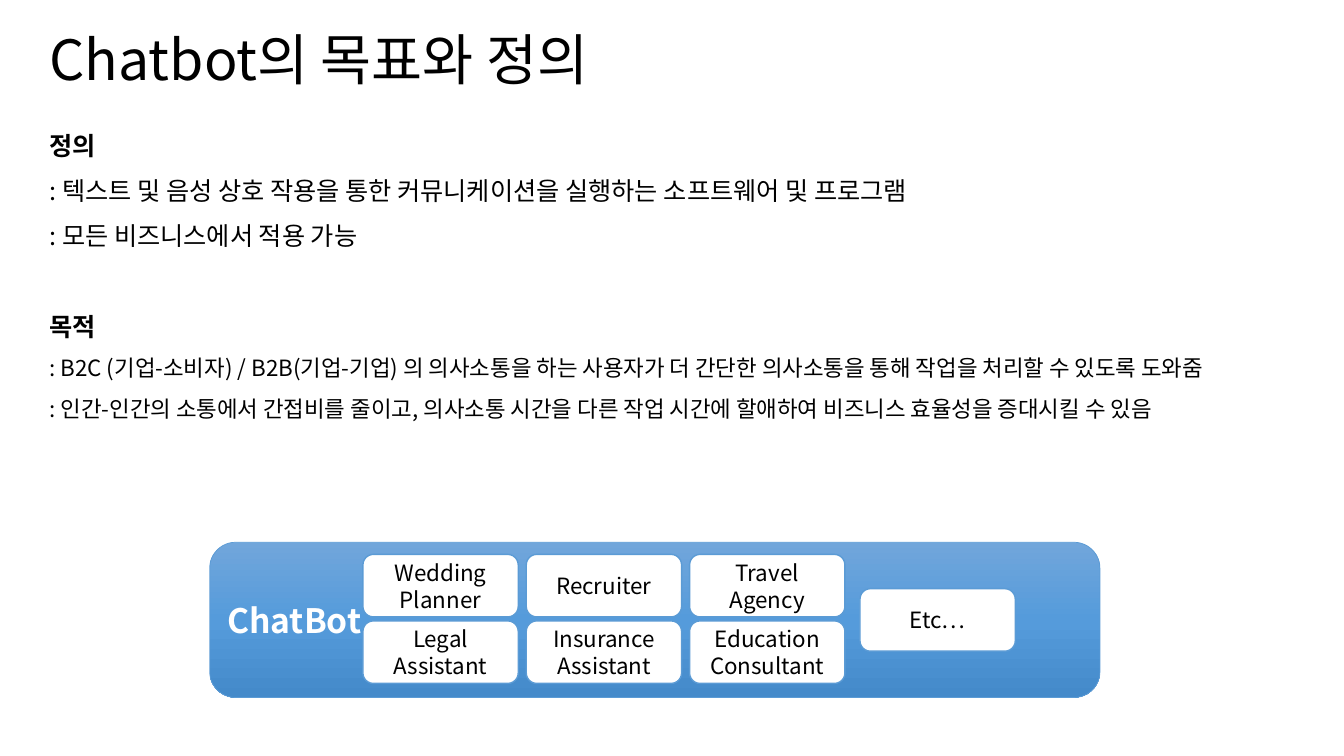
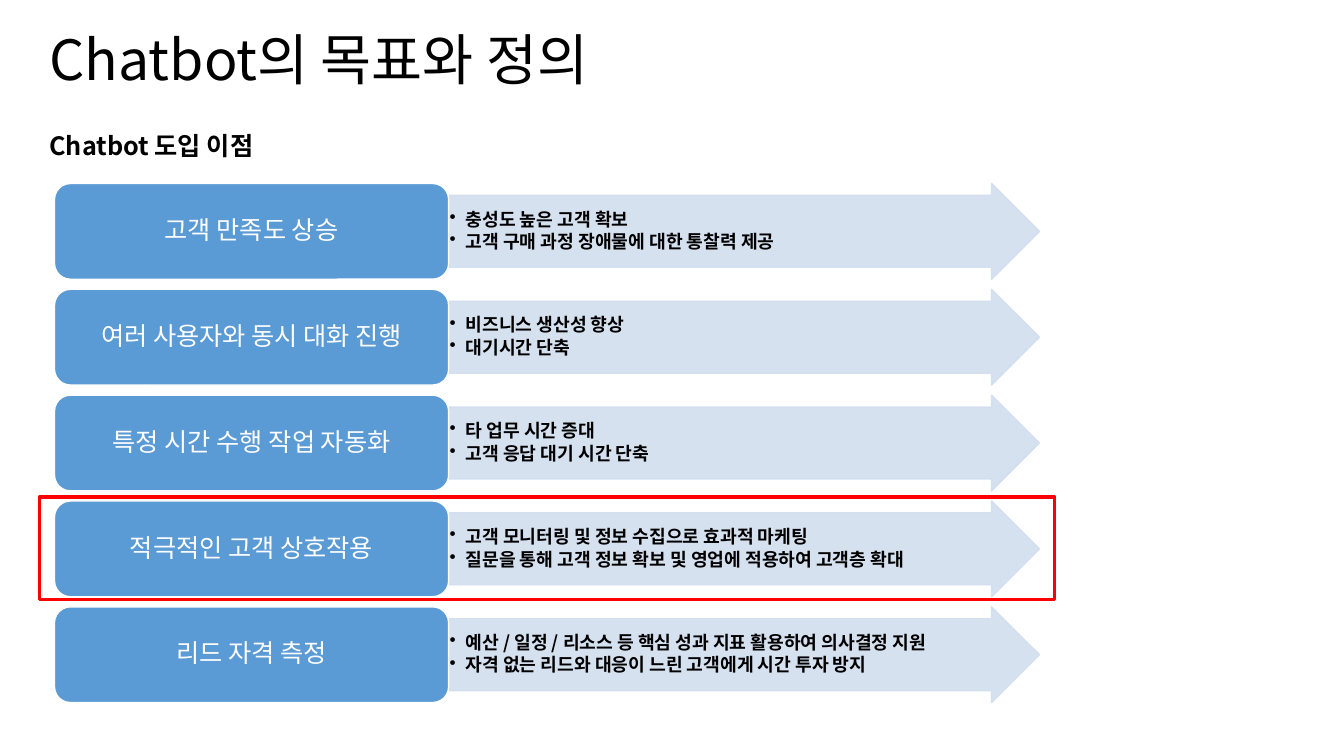
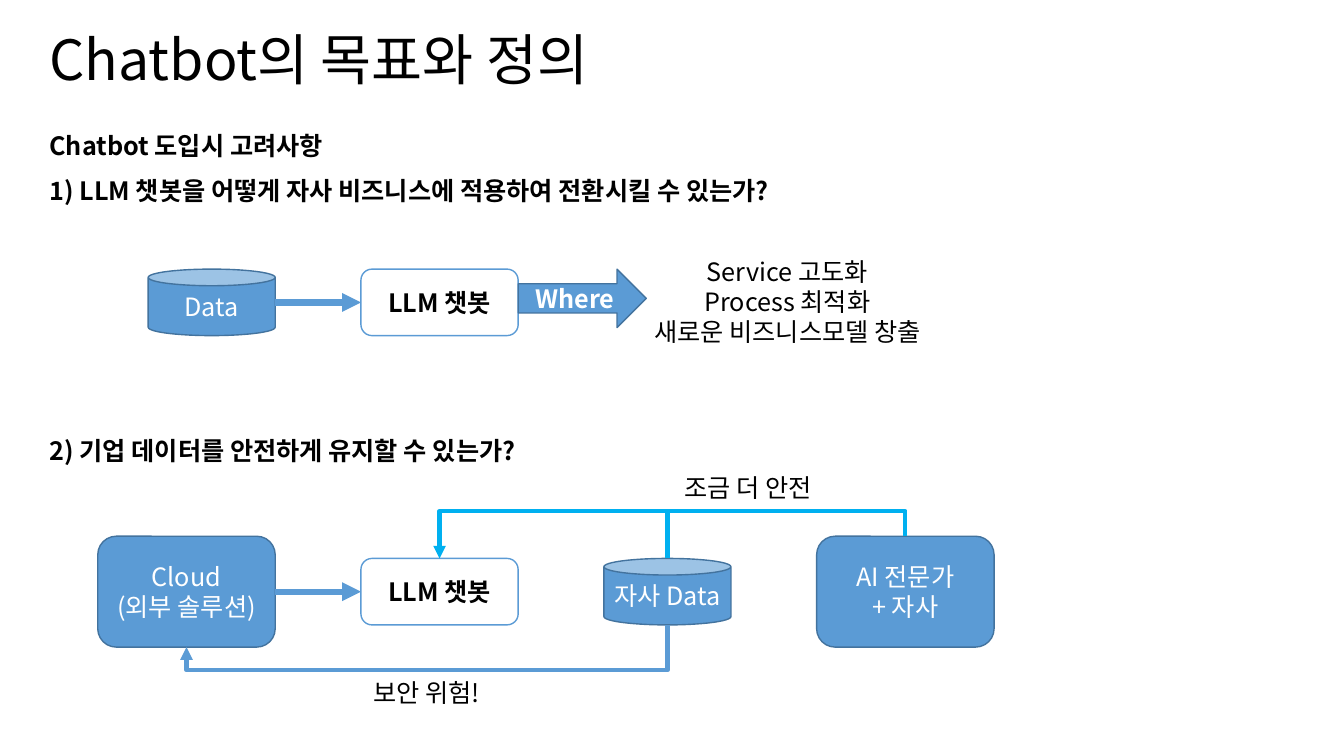
from copy import deepcopy
from dataclasses import dataclass

from pptx import Presentation
from pptx import util as u
from pptx.dml.color import RGBColor
from pptx.enum import shapes, text
from pptx.oxml import ns, xmlchemy

PX = 9144  # EMU per px, 100 px to the inch
SHAPE = shapes.MSO_SHAPE
ALIGN = text.PP_ALIGN
ANCHOR = text.MSO_ANCHOR


@dataclass(frozen=True)
class Theme:
    font: str = "Noto Sans CJK KR"
    ink: str = "000000"
    paper: str = "FFFFFF"
    blue: str = "5B9BD5"
    edge: str = "43739E"
    pale: str = "D2DEEF"
    sky: str = "00B0F0"
    alert: str = "FF0000"
    gradient: tuple = ((0, "71A6DB"), (0.5, "559BDB"), (1, "448ACA"))
    title: float = 39.6
    label: int = 24
    text: int = 18
    small: int = 16
    bullet: int = 13


T = Theme()
TITLE = "Chatbot의 목표와 정의"


def px(*values):
    return [round(v * PX) for v in values]


def rgb(value):
    return RGBColor.from_string(value)


def assign(target, values):
    for name, value in values.items():
        setattr(target, name, value)


def child(parent, tag, **attrs):
    el = xmlchemy.OxmlElement(tag)
    for name, value in attrs.items():
        el.set(name, str(value))
    parent.append(el)
    return el


class Deck:
    def __init__(self):
        self.prs = Presentation()
        self.prs.slide_width, self.prs.slide_height = px(1333, 750)

    # Slide, title and body
    def page(self, title, layout=1):
        self.slide = self.prs.slides.add_slide(self.prs.slide_layouts[layout])
        self.bodies = iter(list(self.slide.placeholders)[1:])
        sp = self.slide.shapes.title
        self.place(sp, 39, 28, 1113, 69)
        self.put_text(sp, [title], T.title, para={"line_spacing": 0.9},
                      frame={"vertical_anchor": ANCHOR.MIDDLE})

    def body(self, box, lines):
        sp = next(self.bodies)
        self.place(sp, *box)
        self.put_text(sp, lines, T.text, para={"line_spacing": 1.5},
                      frame={"vertical_anchor": ANCHOR.TOP})
        for p in sp.text_frame.paragraphs:
            self.bullet(p, 0)

    def place(self, sp, *box):
        assign(sp, dict(zip(("left", "top", "width", "height"), px(*box))))

    # Text; a line is a string or (string, font values, paragraph values)
    def put_text(self, sp, lines, size, color=T.ink, bold=False, align=ALIGN.LEFT,
                 para=None, frame=None):
        tf = sp.text_frame
        assign(tf, {"word_wrap": True, "auto_size": text.MSO_AUTO_SIZE.NONE,
                    **(frame or {})})
        for i, line in enumerate(lines):
            words, font, own = (line, {}, {}) if isinstance(line, str) else line
            p = tf.add_paragraph() if i else tf.paragraphs[0]
            assign(p, {"alignment": align, "space_before": u.Pt(0),
                       **(para or {}), **own})
            r = p.add_run()
            r.text = words
            assign(r.font, {"size": u.Pt(size), "bold": bold, "name": T.font, **font})
            r.font.color.rgb = rgb(color)
            child(r.font._element, "a:ea", typeface=T.font)

    def bullet(self, p, indent, char=None):
        pPr = p._p.get_or_add_pPr()
        pPr.set("marL", str(indent * PX))
        pPr.set("indent", str(-indent * PX))
        if char:
            child(pPr, "a:buChar", char=char)
        else:
            child(pPr, "a:buNone")

    def note(self, box, lines):
        sp = self.slide.shapes.add_textbox(*px(*box))
        self.put_text(sp, lines, T.text, align=ALIGN.CENTER)

    # Shapes
    def shape(self, kind, box, lines=(), fill=T.blue, line=T.edge, width=1,
              size=T.text, color=T.paper, bold=False, align=ALIGN.CENTER, **kw):
        sp = self.slide.shapes.add_shape(kind, *px(*box))
        sp.shadow.inherit = False
        if fill:
            sp.fill.solid()
            sp.fill.fore_color.rgb = rgb(fill)
        else:
            sp.fill.background()
        sp.line.color.rgb = rgb(line)
        sp.line.width = u.Pt(width)
        if lines:
            kw["frame"] = {"vertical_anchor": ANCHOR.MIDDLE, **kw.get("frame", {})}
            self.put_text(sp, lines, size, color, bold, align, **kw)
        return sp

    def card(self, box, words, size=T.text, bold=False):
        return self.shape(SHAPE.ROUNDED_RECTANGLE, box, [words], fill=T.paper,
                          line=T.blue, size=size, color=T.ink, bold=bold)

    def shade(self, sp, stops):
        sp.fill.gradient()
        sp.fill.gradient_angle = 270
        gs = sp._element.spPr.find(".//" + ns.qn("a:gs"))
        gs.addnext(deepcopy(gs))
        for stop, (position, color) in zip(sp.fill.gradient_stops, stops):
            stop.position = position
            stop.color.rgb = rgb(color)

    def fade(self, sp, percent):
        for el in list(sp._element.spPr.iter(ns.qn("a:srgbClr"))):
            child(el, "a:alpha", val=percent * 1000)

    # Lines
    def finish(self, c, color, width, arrow):
        c.line.color.rgb = rgb(color)
        c.line.width = u.Pt(width)
        spPr = c._element.spPr
        if arrow:
            child(spPr.find(ns.qn("a:ln")), "a:tailEnd", type="triangle")
        child(spPr, "a:effectLst")

    def straight(self, x1, y1, x2, y2, color, width, begin=None, end=None, arrow=True):
        c = self.slide.shapes.add_connector(shapes.MSO_CONNECTOR.STRAIGHT,
                                            *px(x1, y1, x2, y2))
        if begin:
            c.begin_connect(*begin)
        if end:
            c.end_connect(*end)
        self.finish(c, color, width, arrow)

    def elbow(self, begin, end, lane, color, above):
        """Leave both shapes vertically and cross at the height of the lane."""
        (x1, y1), (x2, y2) = [
            (sp.left + sp.width // 2, sp.top + (0 if above else sp.height))
            for sp, _ in (begin, end)]
        c = self.slide.shapes.add_connector(shapes.MSO_CONNECTOR.ELBOW, 0, 0, 0, 0)
        c.begin_connect(*begin)
        c.end_connect(*end)
        w, h = y2 - y1, x1 - x2
        xfrm = c._element.spPr.find(ns.qn("a:xfrm"))
        for name in ("flipH", "flipV"):
            xfrm.attrib.pop(name, None)
        turn = ({"rot": "16200000", "flipH": "1", "flipV": "1"} if above
                else {"rot": "5400000"})
        for name, value in turn.items():
            xfrm.set(name, value)
        assign(c, {"left": (x1 + x2 - w) // 2, "top": (y1 + y2 - h) // 2,
                   "width": w, "height": h})
        ratio = round((lane * PX - y1) / w * 100000)
        geom = c._element.spPr.find(ns.qn("a:prstGeom"))
        for old in list(geom):
            geom.remove(old)
        child(child(geom, "a:avLst"), "a:gd", name="adj1", fmla=f"val {ratio}")
        self.finish(c, color, 3, True)


# Definition and purpose
def definition(d):
    d.page(TITLE)
    head, small = {"bold": True}, {"size": u.Pt(T.small)}
    d.body((39, 109, 1238, 399), [
        ("정의", head, {}),
        ": 텍스트 및 음성 상호 작용을 통한 커뮤니케이션을 실행하는 소프트웨어 및 프로그램",
        ": 모든 비즈니스에서 적용 가능",
        ("목적", head, {"space_before": u.Pt(32)}),
        (": B2C (기업-소비자) / B2B(기업-기업) 의 의사소통을 하는 사용자가 "
         "더 간단한 의사소통을 통해 작업을 처리할 수 있도록 도와줌", small, {}),
        (": 인간-인간의 소통에서 간접비를 줄이고, 의사소통 시간을 다른 작업 시간에 "
         "할애하여 비즈니스 효율성을 증대시킬 수 있음", small, {}),
    ])
    panel = d.shape(SHAPE.ROUNDED_RECTANGLE, (208, 538, 883, 154), ["ChatBot"],
                    line=T.blue, width=0.5, size=T.label, bold=True, align=ALIGN.LEFT)
    d.shade(panel, T.gradient)
    roles = [("Wedding Planner", "Legal Assistant"),
             ("Recruiter", "Insurance Assistant"),
             ("Travel Agency", "Education Consultant")]
    for col, pair in enumerate(roles):
        for row, role in enumerate(pair):
            d.card((360 + 162 * col, 550 + 66 * row, 154, 62), role, T.small)
    d.card((853, 584, 154, 62), "Etc…", T.small)


# Benefits
def benefits(d):
    d.page(TITLE)
    d.body((39, 109, 1007, 51), [("Chatbot 도입 이점", {"bold": True}, {})])
    rows = [
        ("고객 만족도 상승",
         ["충성도 높은 고객 확보", "고객 구매 과정 장애물에 대한 통찰력 제공"]),
        ("여러 사용자와 동시 대화 진행", ["비즈니스 생산성 향상", "대기시간 단축"]),
        ("특정 시간 수행 작업 자동화", ["타 업무 시간 증대", "고객 응답 대기 시간 단축"]),
        ("적극적인 고객 상호작용",
         ["고객 모니터링 및 정보 수집으로 효과적 마케팅",
          "질문을 통해 고객 정보 확보 및 영업에 적용하여 고객층 확대"]),
        ("리드 자격 측정",
         ["예산 / 일정 / 리소스 등 핵심 성과 지표 활용하여 의사결정 지원",
          "자격 없는 리드와 대응이 느린 고객에게 시간 투자 방지"]),
    ]
    margins = dict.fromkeys(
        ("margin_left", "margin_right", "margin_top", "margin_bottom"), PX)
    for i, (benefit, effects) in enumerate(rows):
        y = 182 + 105 * i
        arrow = d.shape(SHAPE.RIGHT_ARROW, (445, y, 586, 95), effects, fill=T.pale,
                        line=T.pale, size=T.bullet, color=T.ink, bold=True,
                        align=ALIGN.LEFT, frame=margins,
                        para={"line_spacing": 0.9, "space_after": u.Pt(2)})
        arrow.adjustments[0] = 0.75
        d.fade(arrow, 90)
        for p in arrow.text_frame.paragraphs:
            d.bullet(p, 16, "•")
        d.shape(SHAPE.ROUNDED_RECTANGLE, (54, y, 391, 95), [benefit], line=T.paper,
                para={"line_spacing": 0.9})
    d.shape(SHAPE.RECTANGLE, (39, 493, 1007, 102), fill=None, line=T.alert, width=2.25)


# Points to consider
def considerations(d):
    d.page(TITLE, layout=3)
    bold = {"bold": True}
    d.body((39, 109, 1007, 101), [
        ("Chatbot 도입시 고려사항", bold, {}),
        ("1) LLM 챗봇을 어떻게 자사 비즈니스에 적용하여 전환시킬 수 있는가?", bold, {})])
    d.body((39, 412, 1019, 56),
           [("2) 기업 데이터를 안전하게 유지할 수 있는가?", bold, {})])

    # Data to service
    bot = d.card((358, 267, 156, 66), "LLM 챗봇", bold=True)
    d.shape(SHAPE.CAN, (147, 267, 126, 66), ["Data"])
    d.straight(273, 300, 358, 300, T.blue, 4.5, end=(bot, 1))
    d.note((624, 249, 314, 101),
           ["Service 고도화", "Process 최적화", "새로운 비즈니스모델 창출"])
    d.shape(SHAPE.RIGHT_ARROW, (514, 267, 127, 58), ["Where"], bold=True)

    # Keeping data safe
    bot = d.card((358, 554, 156, 66), "LLM 챗봇", bold=True)
    cloud = d.shape(SHAPE.ROUNDED_RECTANGLE, (97, 532, 176, 110),
                    ["Cloud", "(외부 솔루션)"])
    d.straight(273, 587, 358, 587, T.blue, 4.5, begin=(cloud, 3), end=(bot, 1))
    store = d.shape(SHAPE.CAN, (599, 554, 126, 66), ["자사 Data"])
    d.elbow((store, 3), (cloud, 2), 665, T.blue, above=False)
    d.note((266, 667, 314, 40), ["보안 위험!"])
    expert = d.shape(SHAPE.ROUNDED_RECTANGLE, (810, 532, 176, 110),
                     ["AI 전문가", "+ 자사"])
    d.elbow((expert, 0), (bot, 0), 507, T.sky, above=True)
    d.straight(662, 554, 662, 508, T.sky, 3, arrow=False)
    d.note((585, 464, 314, 40), ["조금 더 안전"])


def main():
    d = Deck()
    for build in (definition, benefits, considerations):
        build(d)
    d.prs.save("out.pptx")


if __name__ == "__main__":
    main()
